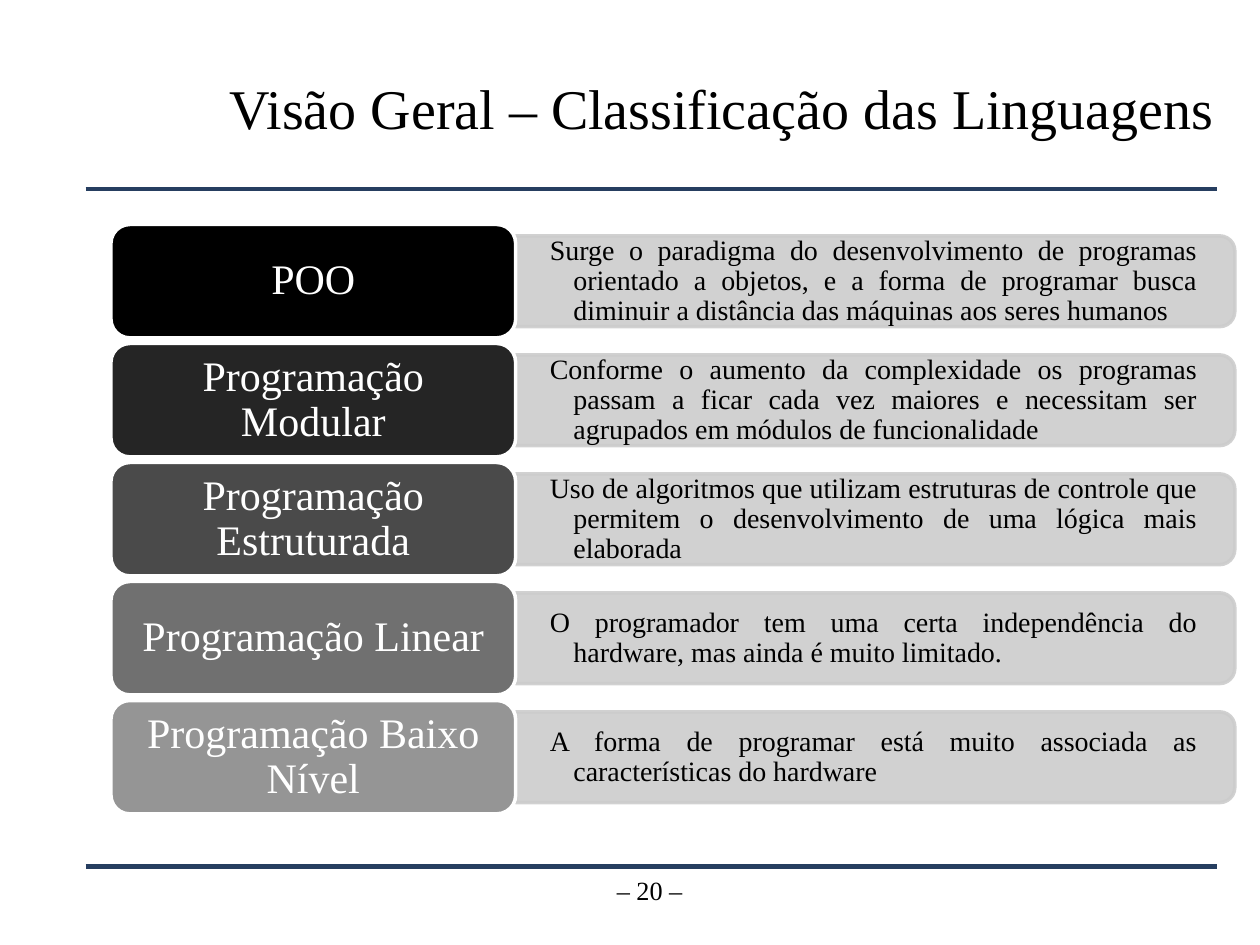
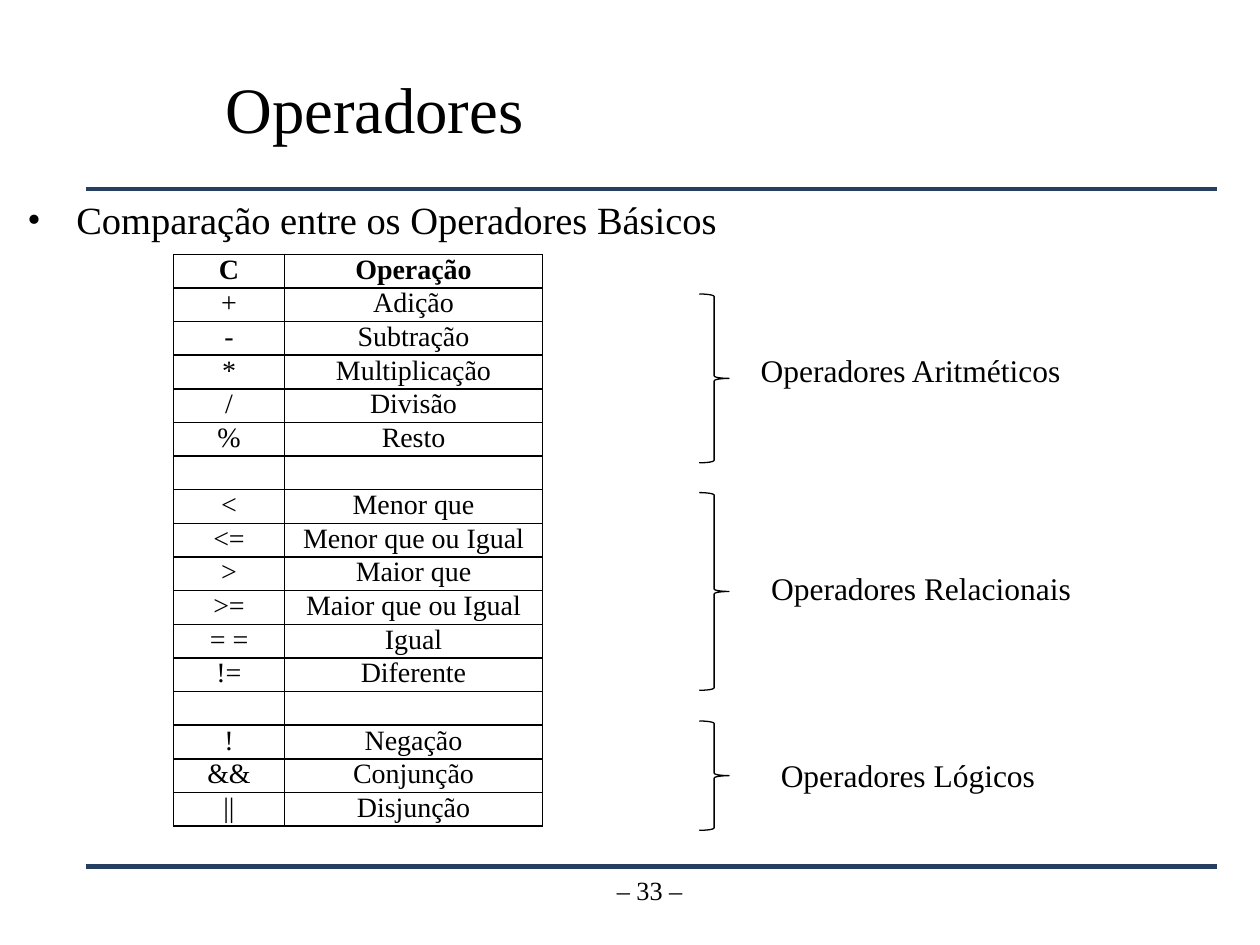
from dataclasses import dataclass

from lxml.etree import SubElement
from pptx import Presentation
from pptx.dml.color import RGBColor
from pptx.enum.shapes import MSO_CONNECTOR as Connector, MSO_SHAPE as Shape
from pptx.enum.text import MSO_ANCHOR as Anchor, MSO_AUTO_SIZE as AutoSize, PP_ALIGN as Align
from pptx.oxml.ns import qn
from pptx.util import Pt


@dataclass(frozen=True)
class Theme:
    font: str = "Times New Roman"
    ink: str = "000000"
    paper: str = "FFFFFF"
    rule: str = "263E60"
    panel: str = "CCCCCC"
    levels: tuple = ("000000", "252525", "4A4A4A", "707070", "959595")
    title: float = 37
    long_title: float = 32
    label: float = 24
    bullet: float = 22
    group: float = 18
    text: float = 16
    footer: float = 15


THEME = Theme()

PARADIGMS = [
    ("POO", "Surge o paradigma do desenvolvimento de programas orientado a objetos, e a forma de "
            "programar busca diminuir a distância das máquinas aos seres humanos"),
    ("Programação Modular", "Conforme o aumento da complexidade os programas passam a ficar cada vez "
                            "maiores e necessitam ser agrupados em módulos de funcionalidade"),
    ("Programação Estruturada", "Uso de algoritmos que utilizam estruturas de controle que permitem o "
                                "desenvolvimento de uma lógica mais elaborada"),
    ("Programação Linear", "O programador tem uma certa independência do hardware, mas ainda é muito "
                           "limitado."),
    ("Programação Baixo Nível", "A forma de programar está muito associada as características do "
                                "hardware"),
]

OPERATORS = [
    ("C", "Operação"),
    ("+", "Adição"), ("-", "Subtração"), ("*", "Multiplicação"), ("/", "Divisão"), ("%", "Resto"),
    ("", ""),
    ("<", "Menor que"), ("<=", "Menor que ou Igual"), (">", "Maior que"),
    (">=", "Maior que ou Igual"), ("= =", "Igual"), ("!=", "Diferente"),
    ("", ""),
    ("!", "Negação"), ("&&", "Conjunção"), ("||", "Disjunção"),
]

# Brace top and height, then label text, left, top and width, relative to the region
OPERATOR_GROUPS = [
    (0, 96.5, "Operadores Aritméticos", 28, 29, 188),
    (113.5, 113, "Operadores Relacionais", 34, 153.5, 188),
    (244, 62.5, "Operadores Lógicos", 39.5, 260.5, 161),
]


# Helpers
def color(code):
    return RGBColor.from_string(code)


def add_text(paragraph, text, size, code=THEME.ink, bold=False):
    run = paragraph.add_run()
    run.text = text
    font = run.font
    font.name, font.size, font.bold = THEME.font, Pt(size), bold
    font.color.rgb = color(code)


def set_frame(frame, insets=(7.2, 3.6), anchor=Anchor.TOP, wrap=True):
    frame.margin_left = frame.margin_right = Pt(insets[0])
    frame.margin_top = frame.margin_bottom = Pt(insets[1])
    frame.vertical_anchor = anchor
    frame.word_wrap = wrap


def add_box(slide, box, **options):
    frame = slide.shapes.add_textbox(*map(Pt, box)).text_frame
    set_frame(frame, **options)
    return frame


def add_shape(slide, kind, box, fill, line, width):
    shape = slide.shapes.add_shape(kind, *map(Pt, box))
    shape.shadow.inherit = False
    if fill:
        shape.fill.solid()
        shape.fill.fore_color.rgb = color(fill)
    else:
        shape.fill.background()
    shape.line.color.rgb = color(line)
    shape.line.width = Pt(width)
    return shape


def set_hanging(paragraph, indent):
    properties = paragraph._p.get_or_add_pPr()
    properties.set("marL", str(Pt(indent)))
    properties.set("indent", str(-Pt(indent)))
    return properties


# Parts shared by the slides
def add_rule(slide, left, top, width):
    rule = slide.shapes.add_connector(Connector.STRAIGHT, Pt(left), Pt(top), Pt(left + width), Pt(top))
    rule.line.color.rgb = color(THEME.rule)
    rule.line.width = Pt(2.83)
    SubElement(rule._element.spPr, qn("a:effectLst"))


def add_base_slide(presentation, title, title_left, title_size, number, title_inset=7.2):
    slide = presentation.slides.add_slide(presentation.slide_layouts[6])
    for top in (108, 495.4):
        add_rule(slide, 49, top, 646.5)
    frame = add_box(slide, (title_left, 23, 705.6 - title_left, 77), anchor=Anchor.MIDDLE)
    frame.margin_left = Pt(title_inset)
    add_text(frame.paragraphs[0], title, title_size)
    footer = add_box(slide, (287.3, 496, 167.8, 37.5)).paragraphs[0]
    footer.alignment = Align.CENTER
    add_text(footer, f"– {number} –", THEME.footer)
    return slide


# Paradigm list
def add_description(slide, box, text):
    left, top, width, height = box
    # The panel stands upright and is turned so that its round corners face right
    upright = (left + (width - height) / 2, top - (width - height) / 2, height, width)
    panel = add_shape(slide, Shape.ROUND_2_SAME_RECTANGLE, upright, THEME.panel, THEME.panel, 2)
    panel.rotation = 90
    for choice in panel._element.spPr.iter(qn("a:srgbClr")):
        SubElement(choice, qn("a:alpha")).set("val", "90000")
    frame = add_box(slide, (left, top + 2.5, width - 2, height - 5),
                    insets=(19.5, 10), anchor=Anchor.MIDDLE)
    paragraph = frame.paragraphs[0]
    paragraph.alignment = Align.JUSTIFY
    paragraph.line_spacing = 0.9
    set_hanging(paragraph, 13.5)
    add_text(paragraph, text, THEME.text)


def add_label(slide, box, text, fill):
    label = add_shape(slide, Shape.ROUNDED_RECTANGLE, box, fill, THEME.paper, 2)
    set_frame(label.text_frame, anchor=Anchor.MIDDLE)
    paragraph = label.text_frame.paragraphs[0]
    paragraph.alignment = Align.CENTER
    paragraph.line_spacing = 0.9
    add_text(paragraph, text, THEME.label, THEME.paper)


def add_paradigms(slide, left, top, width, height):
    label_width, gap, count = 231.3, 3.2, len(PARADIGMS)
    label_height = (height - gap * (count - 1)) / count
    panel_height = label_height * 0.8
    for index, (name, description) in enumerate(PARADIGMS):
        row_top = top + index * (label_height + gap)
        panel_top = row_top + (label_height - panel_height) / 2
        add_description(slide, (left + label_width, panel_top, width - label_width, panel_height),
                        description)
        add_label(slide, (left, row_top, label_width, label_height), name, THEME.levels[index])


# Operator slide regions
def add_bullet(slide, box, text):
    paragraph = add_box(slide, box).paragraphs[0]
    paragraph.space_before = Pt(4.4)
    properties = set_hanging(paragraph, 28)
    SubElement(properties, qn("a:buFont")).set("typeface", THEME.font)
    SubElement(properties, qn("a:buChar")).set("char", "•")
    add_text(paragraph, text, THEME.bullet)


def set_borders(cell):
    properties = cell._tc.get_or_add_tcPr()
    for position, side in enumerate(("lnL", "lnR", "lnT", "lnB")):
        line = properties.makeelement(qn(f"a:{side}"), {"w": str(Pt(1))})
        fill = SubElement(line, qn("a:solidFill"))
        SubElement(fill, qn("a:srgbClr")).set("val", THEME.ink)
        properties.insert(position, line)


def add_operator_table(slide, left, top, widths, row_height):
    rows = len(OPERATORS)
    table = slide.shapes.add_table(rows, len(widths), Pt(left), Pt(top), Pt(sum(widths)),
                                   Pt(rows * row_height)).table
    table.first_row = table.horz_banding = False
    for column, width in zip(table.columns, widths):
        column.width = Pt(width)
    for row_index, values in enumerate(OPERATORS):
        table.rows[row_index].height = Pt(row_height)
        for column_index, text in enumerate(values):
            cell = table.cell(row_index, column_index)
            cell.fill.background()
            cell.margin_left = cell.margin_right = Pt(5)
            cell.margin_top = cell.margin_bottom = 0
            set_borders(cell)
            paragraph = cell.text_frame.paragraphs[0]
            paragraph.alignment = Align.CENTER
            if text:
                add_text(paragraph, text, THEME.text, bold=row_index == 0)
            else:
                # Keeps an empty row as low as the others
                ending = SubElement(paragraph._p, qn("a:endParaRPr"))
                ending.set("sz", str(THEME.text * 100))
                SubElement(ending, qn("a:latin")).set("typeface", THEME.font)


def add_operator_groups(slide, left, top):
    for brace_top, height, name, label_left, label_top, width in OPERATOR_GROUPS:
        add_shape(slide, Shape.RIGHT_BRACE, (left, top + brace_top, 17, height),
                  None, THEME.ink, 0.75)
        frame = add_box(slide, (left + label_left, top + label_top, width, 29), wrap=False)
        frame.auto_size = AutoSize.SHAPE_TO_FIT_TEXT
        add_text(frame.paragraphs[0], name, THEME.group)


# Slides
def add_paradigm_slide(presentation):
    slide = add_base_slide(presentation, "Visão Geral – Classificação das Linguagens", 116,
                           THEME.long_title, 20, title_inset=15.2)
    add_paradigms(slide, 63.4, 128.3, 642.2, 336.8)


def add_operator_slide(presentation):
    slide = add_base_slide(presentation, "Operadores", 121.7, THEME.title, 33)
    add_bullet(slide, (8.6, 108.7, 584, 87), "Comparação entre os Operadores Básicos")
    add_operator_table(slide, 99.2, 145.3, (63.3, 147.6), 17.8)
    add_operator_groups(slide, 399.6, 168)


presentation = Presentation()
presentation.slide_width, presentation.slide_height = Pt(720), Pt(540)
add_paradigm_slide(presentation)
add_operator_slide(presentation)
presentation.save("out.pptx")
